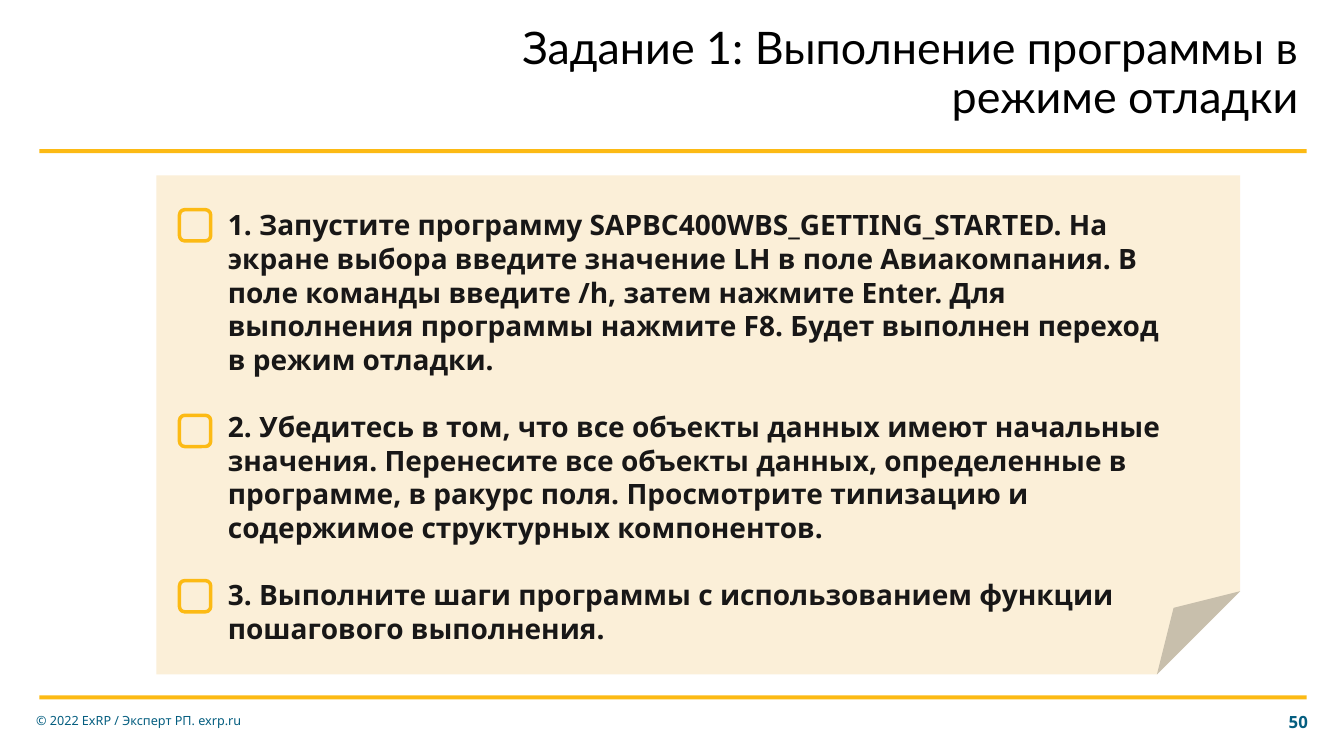
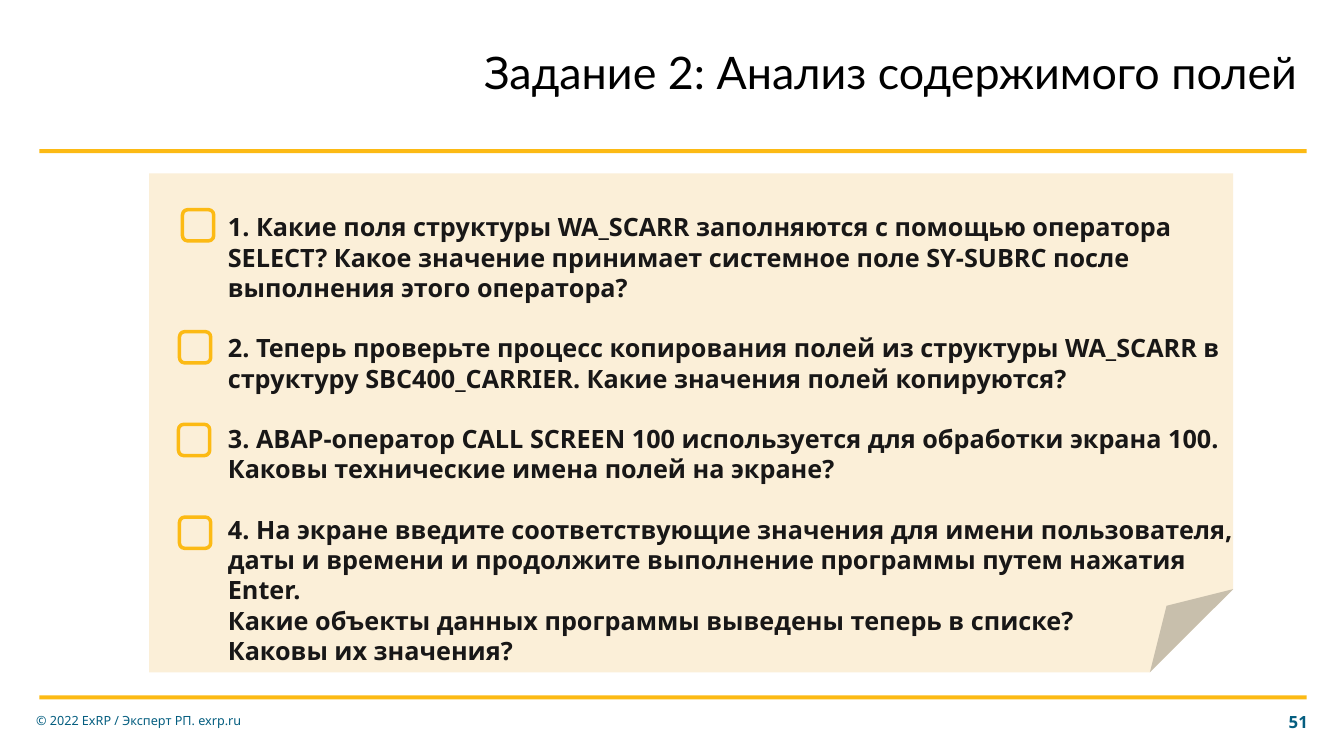
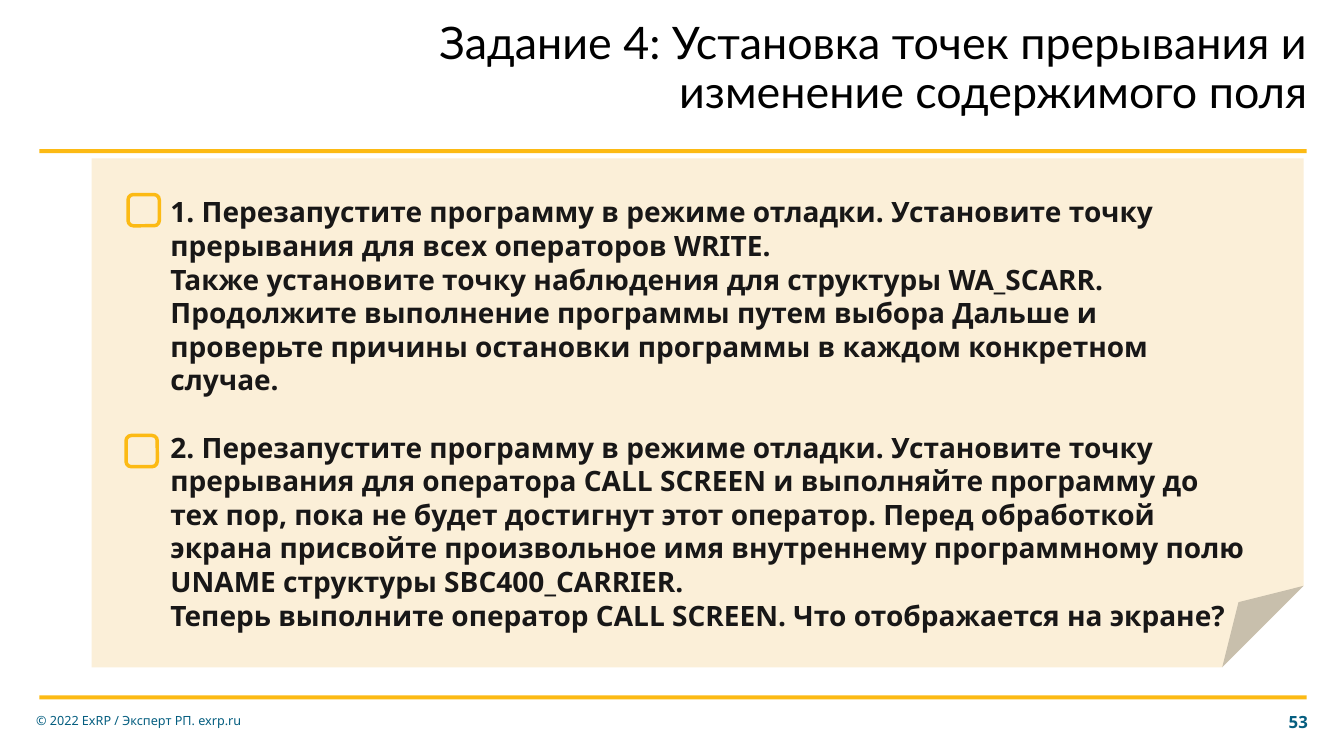
"""Build three debugging-exercise slides with checklists on a folded note."""
from lxml.etree import SubElement
from pptx import Presentation
from pptx.dml.color import RGBColor
from pptx.enum.shapes import MSO_SHAPE
from pptx.enum.text import MSO_ANCHOR, MSO_AUTO_SIZE, PP_ALIGN
from pptx.oxml.ns import qn
from pptx.util import Inches, Pt

COLORS = {"gold": "FCBA14", "note": "FBEFD8", "title": "000000",
          "text": "181717", "footer": "055E80"}
TITLE_FONT, TEXT_FONT = "Lato", "Noto Sans"
FOOTER = "© 2022 ExRP / Эксперт РП. exrp.ru"
BAR_TOPS = (1.48, 6.9)
BOX_SIZE = 0.31
LINE_RATIO = 1.2

SLIDES = [
    {
        "number": "50",
        "title": "Задание 1: Выполнение программы в режиме отладки",
        "title_at": (4.28, 0.25, 8.7, 1.03),
        "note_at": (1.55, 1.74, 10.75, 4.95),
        "fold": 16667,
        "body_at": (2.16, 1.99, 9.44, 4.48),
        "size": 20,
        "boxes": [(1.78, 2.08), (1.78, 4.12), (1.78, 5.76)],
        "tasks": [
            ["1. Запустите программу SAPBC400WBS_GETTING_STARTED. На экране выбора "
             "введите значение LH в поле Авиакомпания. В поле команды введите /h, "
             "затем нажмите Enter. Для выполнения программы нажмите F8. "
             "Будет выполнен переход в режим отладки."],
            ["2. Убедитесь в том, что все объекты данных имеют начальные значения. "
             "Перенесите все объекты данных, определенные в программе, в ракурс поля. "
             "Просмотрите типизацию и содержимое структурных компонентов."],
            ["3. Выполните шаги программы с использованием функции "
             "пошагового выполнения."],
        ],
    },
    {
        "number": "51",
        "title": "Задание 2: Анализ содержимого полей",
        "title_at": (2.9, 0.49, 10.07, 0.55),
        "note_at": (1.48, 1.72, 10.75, 4.95),
        "fold": 16667,
        "body_at": (2.16, 2.03, 10.37, 4.64),
        "size": 18,
        "boxes": [(1.81, 2.08), (1.78, 3.29), (1.77, 4.21), (1.78, 5.13)],
        "tasks": [
            ["1. Какие поля структуры WA_SCARR заполняются с помощью оператора SELECT? "
             "Какое значение принимает системное поле SY-SUBRC после выполнения "
             "этого оператора?"],
            ["2. Теперь проверьте процесс копирования полей из структуры WA_SCARR "
             "в структуру SBC400_CARRIER. Какие значения полей копируются?"],
            ["3. ABAP-оператор CALL SCREEN 100 используется для обработки экрана 100. "
             "Каковы технические имена полей на экране?"],
            ["4. На экране введите соответствующие значения для имени пользователя, "
             "даты и времени и продолжите выполнение программы путем нажатия Enter.",
             "Какие объекты данных программы выведены теперь в списке?",
             "Каковы их значения?"],
        ],
    },
    {
        "number": "53",
        "title": "Задание 4: Установка точек прерывания и изменение содержимого поля",
        "title_at": (3.26, 0.2, 9.81, 1.03),
        "note_at": (0.91, 1.57, 12.02, 5.05),
        "fold": 16000,
        "body_at": (1.59, 1.86, 10.76, 4.48),
        "size": 20,
        "boxes": [(1.27, 1.93), (1.25, 4.32)],
        "tasks": [
            ["1. Перезапустите программу в режиме отладки. Установите точку "
             "прерывания для всех операторов WRITE.",
             "Также установите точку наблюдения для структуры WA_SCARR.",
             "Продолжите выполнение программы путем выбора Дальше и проверьте "
             "причины остановки программы в каждом конкретном случае."],
            ["2. Перезапустите программу в режиме отладки. Установите точку "
             "прерывания для оператора CALL SCREEN и выполняйте программу до тех пор, "
             "пока не будет достигнут этот оператор. Перед обработкой экрана присвойте "
             "произвольное имя внутреннему программному полю UNAME структуры "
             "SBC400_CARRIER.",
             "Теперь выполните оператор CALL SCREEN. Что отображается на экране?"],
        ],
    },
]


def place(shape, at):
    shape.left, shape.top, shape.width, shape.height = map(Inches, at)


def add_run(paragraph, text, size, color, font=TEXT_FONT, bold=False):
    run = paragraph.add_run()
    run.text = text
    run.font.name, run.font.size, run.font.bold = font, Pt(size), bold
    run.font.color.rgb = RGBColor.from_string(COLORS[color])


def set_frame(shape, insets):
    frame = shape.text_frame
    frame.word_wrap = True
    frame.auto_size = MSO_AUTO_SIZE.NONE
    frame.vertical_anchor = MSO_ANCHOR.MIDDLE
    (frame.margin_left, frame.margin_top,
     frame.margin_right, frame.margin_bottom) = map(Inches, insets)
    return frame


def add_shape(slide, kind, at, fill=None, line=None):
    shape = slide.shapes.add_shape(kind, *map(Inches, at))
    shape.shadow.inherit = False
    if fill:
        shape.fill.solid()
        shape.fill.fore_color.rgb = RGBColor.from_string(COLORS[fill])
    else:
        shape.fill.background()
    if line:
        shape.line.color.rgb = RGBColor.from_string(COLORS[line])
        shape.line.width = Pt(2.5)
    else:
        shape.line.fill.background()
    return shape


def add_label(slide, at, text, size, align, bold=False):
    box = slide.shapes.add_textbox(*map(Inches, at))
    paragraph = set_frame(box, (0.1, 0.05, 0.1, 0.05)).paragraphs[0]
    paragraph.alignment = align
    add_run(paragraph, text, size, "footer", bold=bold)


def fill_title(title, content):
    place(title, content["title_at"])
    paragraph = set_frame(title, (0, 0, 0.1, 0.05)).paragraphs[0]
    paragraph.alignment = PP_ALIGN.RIGHT
    paragraph.line_spacing = 0.9
    add_run(paragraph, content["title"], 32, "title", TITLE_FONT)


def fill_tasks(body, content):
    place(body, content["body_at"])
    frame = set_frame(body, (0.1, 0.05, 0, 0.05))
    paragraph = None
    for task in content["tasks"]:
        for index, text in enumerate(task):
            starts_task = paragraph is not None and index == 0
            paragraph = frame.add_paragraph() if paragraph is not None else frame.paragraphs[0]
            gap = content["size"] * LINE_RATIO if starts_task else 0
            paragraph.space_before = Pt(gap)
            properties = paragraph._p.get_or_add_pPr()
            properties.set("marL", "0")
            properties.set("indent", "0")
            SubElement(properties, qn("a:buNone"))
            add_run(paragraph, text, content["size"], "text", bold=True)


def add_note(slide, content):
    note = add_shape(slide, MSO_SHAPE.FOLDED_CORNER, content["note_at"], "note")
    guides = note.element.find(".//" + qn("a:avLst"))
    SubElement(guides, qn("a:gd"), name="adj", fmla=f"val {content['fold']}")
    return note


def add_layout_bars(slide):
    tree = slide.slide_layout.element.cSld.spTree
    for top in BAR_TOPS:
        bar = add_shape(slide, MSO_SHAPE.RECTANGLE, (0.39, top, 12.57, 0.04), "gold")
        tree.append(bar.element)


def add_exercise(presentation, content):
    slide = presentation.slides.add_slide(presentation.slide_layouts[1])
    title, body = slide.placeholders
    fill_title(title, content)
    fill_tasks(body, content)
    note = add_note(slide, content)
    body.element.addprevious(note.element)
    for left, top in content["boxes"]:
        add_shape(slide, MSO_SHAPE.ROUNDED_RECTANGLE,
                  (left, top, BOX_SIZE, BOX_SIZE), line="gold")
    add_label(slide, (0.26, 6.95, 2.85, 0.4), FOOTER, 9, PP_ALIGN.LEFT)
    add_label(slide, (12.42, 6.96, 0.65, 0.4), content["number"], 12,
              PP_ALIGN.RIGHT, bold=True)
    return slide


def main():
    presentation = Presentation()
    presentation.slide_width, presentation.slide_height = Inches(13.33), Inches(7.5)
    slides = [add_exercise(presentation, content) for content in SLIDES]
    add_layout_bars(slides[0])
    presentation.save("out.pptx")


if __name__ == "__main__":
    main()
